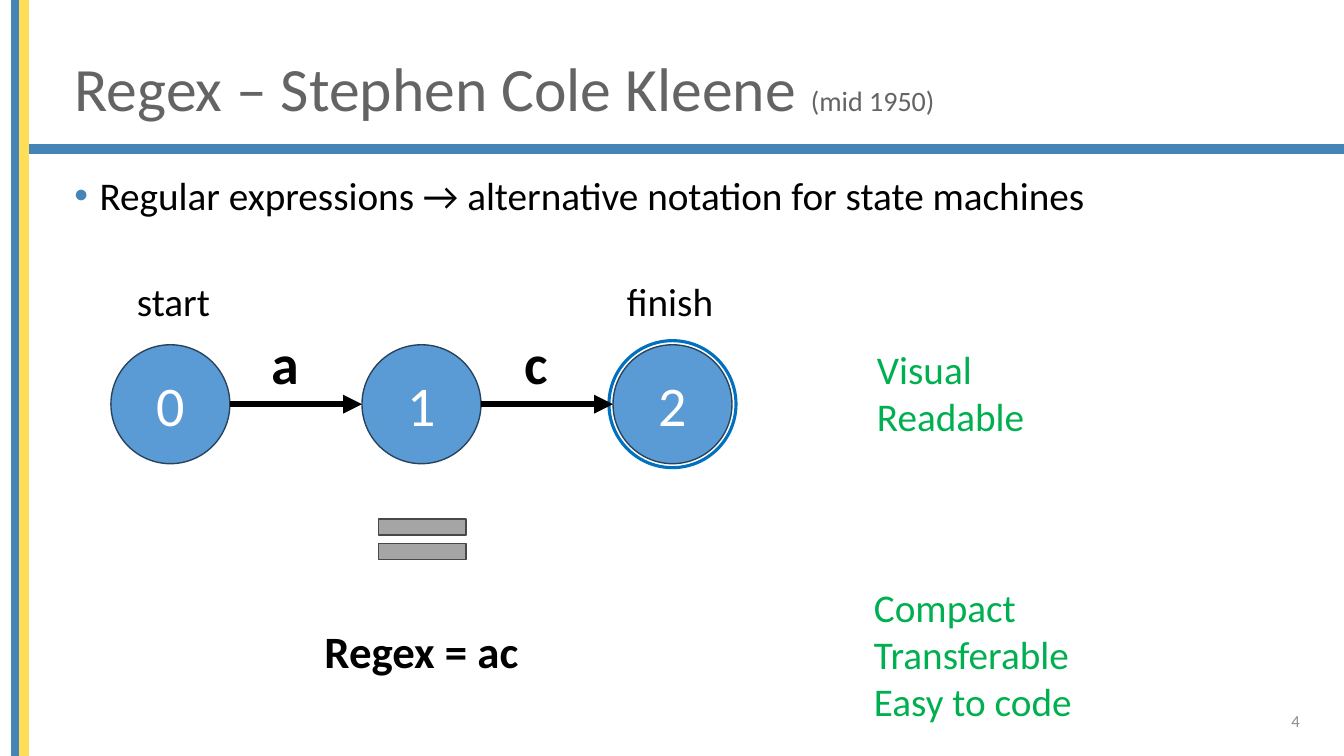
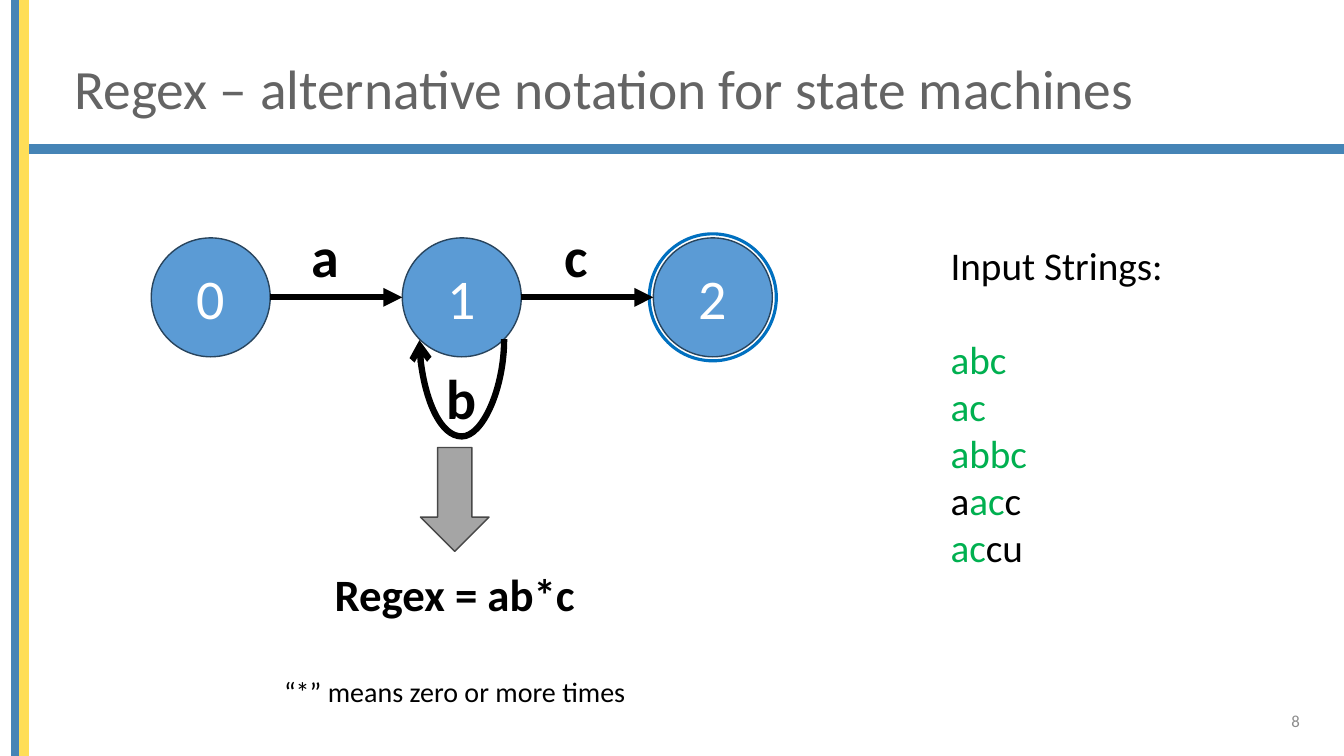
from lxml.etree import SubElement
from pptx import Presentation
from pptx.dml.color import RGBColor
from pptx.enum.shapes import MSO_CONNECTOR, MSO_SHAPE
from pptx.enum.text import MSO_ANCHOR, PP_ALIGN
from pptx.oxml.ns import qn
from pptx.util import Inches, Pt

FONT = "Calibri"
BLUE, YELLOW = "4584B6", "FFDE57"
TITLE_GRAY, PAGE_GRAY = "646464", "8C8C8C"
BLACK, WHITE, GREEN = "000000", "FFFFFF", "00B050"
STATE_FILL, STATE_LINE, RING = "5B9BD5", "28445D", "0070C0"
SIGN_FILL, SIGN_LINE = "A5A5A5", "484848"

STATES = ["0", "1", "2"]
LABELS = ["a", "c"]
STATE_SIZE, STATE_STEP = 1.18, 2.49
LABEL_STEP, RING_GAP = 2.51, 0.04

# Each paragraph is a list of (text, format) runs.
KLEENE_TITLE = [("Regex – Stephen Cole Kleene ", {}), ("(mid 1950)", {"size": 20})]
NOTATION_TITLE = [("Regex – alternative notation for state machines", {})]
INTRO = "Regular expressions → alternative notation for state machines"
DIAGRAM_MERITS = ["Visual", "Readable"]
REGEX_MERITS = ["Compact", "Transferable", "Easy to code"]
STAR_REGEX = [
    "Regex = ab*c",
    [("“*” means zero or more times", {"size": 20, "bold": False})],
]
IN_GREEN = {"color": GREEN}
INPUT_STRINGS = [
    "Input Strings:",
    [("abc", IN_GREEN)],
    [("ac", IN_GREEN)],
    [("abbc", IN_GREEN)],
    [("a", {}), ("ac", IN_GREEN), ("c", {})],
    [("ac", IN_GREEN), ("cu", {})],
]


def rgb(value):
    return RGBColor.from_string(value)


def write(tf, paras, size=28, color=BLACK, bold=False, align=PP_ALIGN.LEFT,
          anchor=MSO_ANCHOR.TOP, spacing=None, bullet=None, gaps=None):
    """Fill a text frame; gaps maps a paragraph index to its space before."""
    tf.word_wrap = True
    tf.vertical_anchor = anchor
    for i, para in enumerate(paras):
        p = tf.paragraphs[0] if i == 0 else tf.add_paragraph()
        if bullet:
            add_bullet(p, bullet)
        p.alignment = align
        if spacing:
            p.line_spacing = spacing
        if gaps and i in gaps:
            p.space_before = Pt(gaps[i])
        for text, changes in ([(para, {})] if isinstance(para, str) else para):
            fmt = {"size": size, "color": color, "bold": bold, **changes}
            r = p.add_run()
            r.text = text
            r.font.name = FONT
            r.font.size = Pt(fmt["size"])
            r.font.bold = fmt["bold"]
            r.font.color.rgb = rgb(fmt["color"])


def add_bullet(p, color):
    pPr = p._p.get_or_add_pPr()
    pPr.set("marL", str(Inches(0.25)))
    pPr.set("indent", str(Inches(-0.25)))
    SubElement(SubElement(pPr, qn("a:buClr")), qn("a:srgbClr"), val=color)
    SubElement(pPr, qn("a:buFont"), typeface="Arial")
    SubElement(pPr, qn("a:buChar"), char="•")


def add_text(slide, box, paras, **fmt):
    sp = slide.shapes.add_textbox(*map(Inches, box))
    write(sp.text_frame, paras, **fmt)


def add_shape(slide, kind, box, fill, line, width=1):
    sp = slide.shapes.add_shape(kind, *map(Inches, box))
    sp.shadow.inherit = False
    if fill:
        sp.fill.solid()
        sp.fill.fore_color.rgb = rgb(fill)
    else:
        sp.fill.background()
    sp.line.color.rgb = rgb(line)
    sp.line.width = Pt(width)
    return sp


def add_arrow(slide, start, end, kind=MSO_CONNECTOR.STRAIGHT, head="triangle"):
    cxn = slide.shapes.add_connector(kind, *map(Inches, start + end))
    cxn.line.color.rgb = rgb(BLACK)
    cxn.line.width = Pt(4.5)
    SubElement(cxn.line._get_or_add_ln(), qn("a:tailEnd"), type=head)
    SubElement(cxn._element.spPr, qn("a:effectLst"))
    return cxn


def add_label(slide, left, top, text):
    add_text(slide, (left, top, 0.86, 0.77), [text], size=40, bold=True)


def add_machine(slide, left, top):
    """Draw the row of states, the last one ringed, with labelled arrows."""
    for i, state in enumerate(STATES):
        box = (left + i * STATE_STEP, top, STATE_SIZE, STATE_SIZE)
        sp = add_shape(slide, MSO_SHAPE.OVAL, box, STATE_FILL, STATE_LINE)
        write(sp.text_frame, [state], size=40, color=WHITE,
              align=PP_ALIGN.CENTER, anchor=MSO_ANCHOR.MIDDLE)
    ring = STATE_SIZE + 2 * RING_GAP
    last = left + (len(STATES) - 1) * STATE_STEP
    add_shape(slide, MSO_SHAPE.OVAL, (last - RING_GAP, top - RING_GAP, ring, ring),
              None, RING, 2.25)
    middle = top + STATE_SIZE / 2
    for i, label in enumerate(LABELS):
        x = left + i * STATE_STEP
        add_arrow(slide, (x + STATE_SIZE, middle), (x + STATE_STEP, middle))
        add_label(slide, left + 1.49 + i * LABEL_STEP, top - 0.21, label)


def add_loop(slide, center, top, width, depth):
    """Draw a U-shaped arrow that leaves on the right and returns on the left."""
    thin = 0.01
    cxn = add_arrow(slide, (center - thin / 2, top - width / 2),
                    (center + thin / 2, top + width / 2),
                    MSO_CONNECTOR.CURVE, "arrow")
    spPr = cxn._element.spPr
    spPr.find(qn("a:xfrm")).set("rot", str(90 * 60000))
    geom = spPr.find(qn("a:prstGeom"))
    guides = geom.find(qn("a:avLst"))
    if guides is None:
        guides = SubElement(geom, qn("a:avLst"))
    SubElement(guides, qn("a:gd"), name="adj1",
               fmla=f"val {round(depth / thin * 100000)}")


def add_slide(prs, title, number, title_size):
    slide = prs.slides.add_slide(prs.slide_layouts[6])
    for box, color in [((0.2, 1.44, 13.13, 0.08), BLUE),
                       ((0.12, 0, 0.08, 7.5), BLUE),
                       ((0.2, 0, 0.08, 7.5), YELLOW)]:
        add_shape(slide, MSO_SHAPE.RECTANGLE, box, color, color)
    add_text(slide, (0.64, 0.4, 11.78, 1.01), [title], size=title_size,
             color=TITLE_GRAY, anchor=MSO_ANCHOR.MIDDLE, spacing=0.9)
    add_text(slide, (9.99, 6.95, 3, 0.4), [number], size=12, color=PAGE_GRAY,
             align=PP_ALIGN.RIGHT, anchor=MSO_ANCHOR.MIDDLE)
    return slide


def build_kleene(prs):
    slide = add_slide(prs, KLEENE_TITLE, "4", 44)
    add_text(slide, (0.64, 1.7, 11.56, 1.23), [INTRO], spacing=0.9, bullet=BLUE)
    add_machine(slide, 1.1, 3.42)
    for left, caption in [(1.26, "start"), (6.12, "finish")]:
        add_text(slide, (left, 2.7, 1.49, 0.57), [caption])
    add_shape(slide, MSO_SHAPE.MATH_EQUAL, (3.6, 5.01, 1.18, 0.68),
              SIGN_FILL, SIGN_LINE)
    add_text(slide, (3.12, 6.14, 2.4, 0.64), ["Regex = ac"], size=32, bold=True)
    add_text(slide, (8.6, 3.38, 3.63, 1.04), DIAGRAM_MERITS, color=GREEN)
    add_text(slide, (8.57, 5.74, 3.63, 1.51), REGEX_MERITS, color=GREEN)


def build_notation(prs):
    slide = add_slide(prs, NOTATION_TITLE, "8", 39.6)
    add_machine(slide, 1.5, 2.36)
    add_loop(slide, 4.58, 3.37, 0.84, 0.98)
    add_label(slide, 4.33, 3.56, "b")
    add_shape(slide, MSO_SHAPE.DOWN_ARROW, (4.17, 4.44, 0.68, 1.03),
              SIGN_FILL, SIGN_LINE)
    add_text(slide, (2.7, 5.57, 3.62, 1.51), STAR_REGEX, size=32, bold=True,
             align=PP_ALIGN.CENTER, gaps={1: 39})
    add_text(slide, (9.33, 2.34, 2.4, 3.4), INPUT_STRINGS, gaps={1: 34})


def main():
    prs = Presentation()
    prs.slide_width, prs.slide_height = Inches(13.33), Inches(7.5)
    build_kleene(prs)
    build_notation(prs)
    prs.save("out.pptx")


if __name__ == "__main__":
    main()
